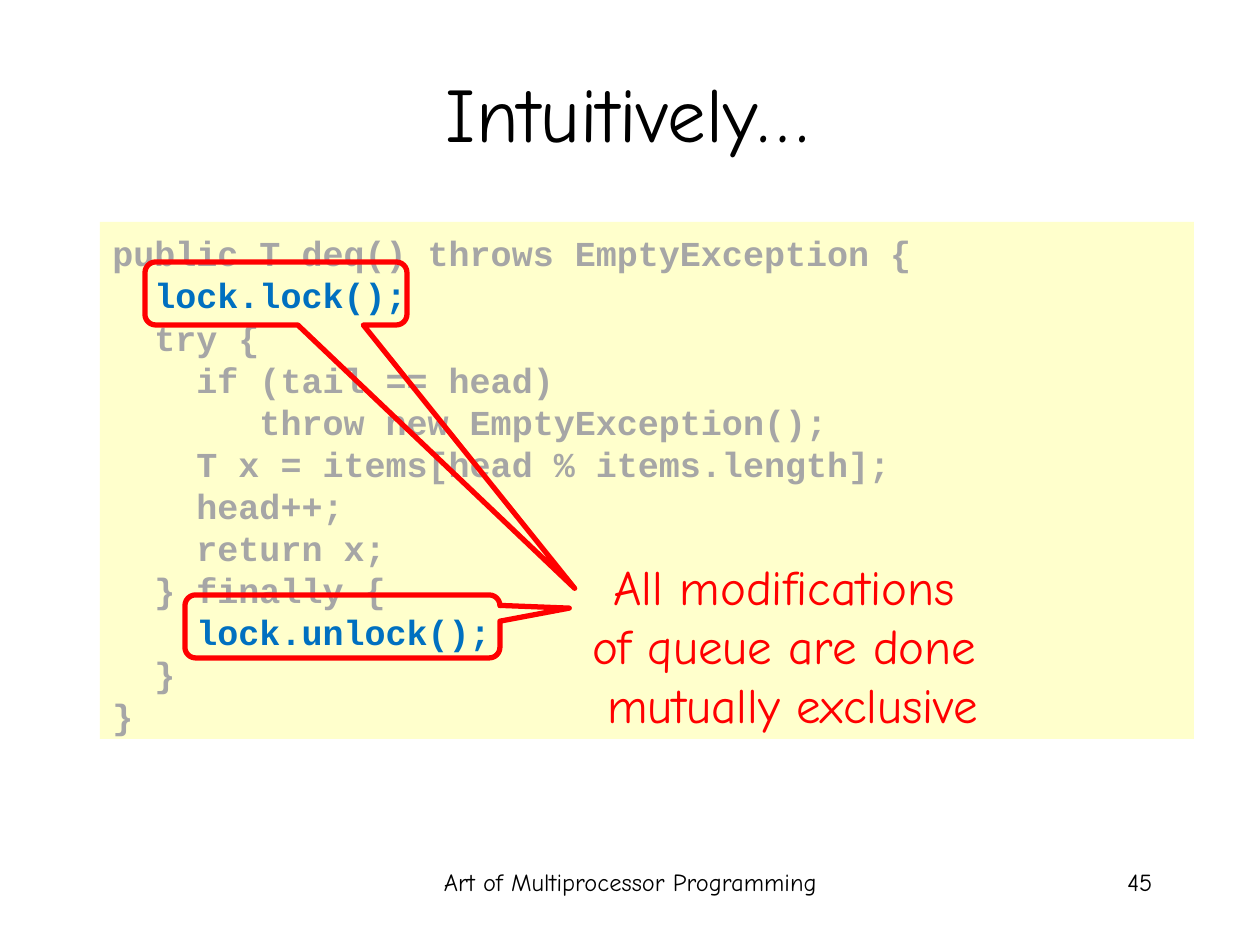
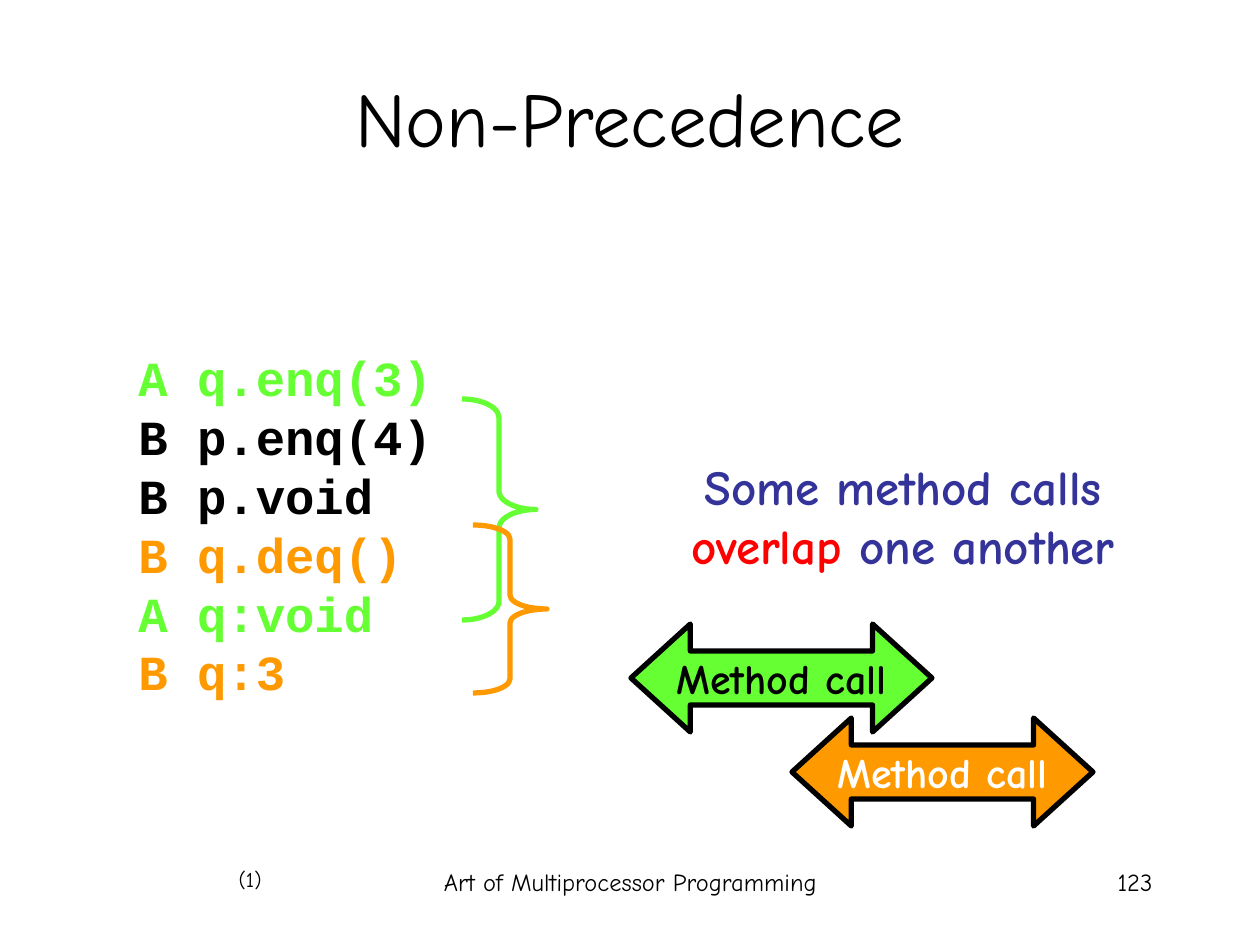
import pptx
import pptx.dml.color
import pptx.enum.shapes
import pptx.enum.text
import pptx.util

RGB = pptx.dml.color.RGBColor
SHAPE = pptx.enum.shapes.MSO_SHAPE
ALIGN = pptx.enum.text.PP_ALIGN
ANCHOR = pptx.enum.text.MSO_ANCHOR

BLACK = RGB(0x00, 0x00, 0x00)
WHITE = RGB(0xFF, 0xFF, 0xFF)
RED = RGB(0xFF, 0x00, 0x00)
GREY = RGB(0xA6, 0xA6, 0xA6)
BLUE = RGB(0x00, 0x70, 0xC0)
NAVY = RGB(0x33, 0x33, 0x99)
GREEN = RGB(0x66, 0xFF, 0x33)
ORANGE = RGB(0xFF, 0x99, 0x00)
CREAM = RGB(0xFF, 0xFF, 0xCC)

PROSE_FONT = "Comic Neue"
CODE_FONT = "Courier New"
PX_PER_INCH = 126
LINE_HEIGHT = 1.2
OUTLINE = pptx.util.Pt(3)
TITLE_ONLY = 5

DEQ_CODE = [
    ("public T deq() throws EmptyException {", GREY),
    ("  lock.lock();", BLUE),
    ("  try {", GREY),
    ("    if (tail == head)", GREY),
    ("       throw new EmptyException();", GREY),
    ("    T x = items[head % items.length];", GREY),
    ("    head++;", GREY),
    ("    return x;", GREY),
    ("  } finally {", GREY),
    ("    lock.unlock();", BLUE),
    ("  }", GREY),
    ("}", GREY),
]
HISTORY = [
    ("A q.enq(3)", GREEN),
    ("B p.enq(4)", BLACK),
    ("B p.void", BLACK),
    ("B q.deq()", ORANGE),
    ("A q:void", GREEN),
    ("B q:3", ORANGE),
]


def px(length):
    return pptx.util.Emu(round(length * 914400 / PX_PER_INCH))


def box(*lengths):
    """Turn left, top, width and height in px into EMU."""
    return [px(length) for length in lengths]


def write(frame, lines, size, font=PROSE_FONT, bold=False, align=ALIGN.CENTER,
          anchor=ANCHOR.TOP, wrap=True, top_inset=6):
    """Fill a frame with lines, each a list of (text, colour) runs."""
    frame.word_wrap = wrap
    frame.auto_size = pptx.enum.text.MSO_AUTO_SIZE.NONE
    frame.vertical_anchor = anchor
    frame.margin_top = px(top_inset)
    for number, runs in enumerate(lines):
        paragraph = frame.add_paragraph() if number else frame.paragraphs[0]
        paragraph.alignment = align
        if len(lines) > 1:
            paragraph.line_spacing = pptx.util.Pt(size * LINE_HEIGHT)
        for text, colour in runs:
            run = paragraph.add_run()
            run.text = text
            run.font.name = font
            run.font.size = pptx.util.Pt(size)
            run.font.bold = bold
            run.font.color.rgb = colour


def add_text(slide, place, lines, size, **text_format):
    label = slide.shapes.add_textbox(*box(*place))
    write(label.text_frame, lines, size, **text_format)


def add_code(frame, code, size, top_inset):
    write(frame, [[line] for line in code], size, font=CODE_FONT, bold=True,
          align=ALIGN.LEFT, top_inset=top_inset)


def add_figure(slide, preset, place, fill=None, line=None, adjustments=()):
    figure = slide.shapes.add_shape(preset, *box(*place))
    figure.shadow.inherit = False
    if fill is None:
        figure.fill.background()
    else:
        figure.fill.solid()
        figure.fill.fore_color.rgb = fill
    if line is None:
        figure.line.fill.background()
    else:
        figure.line.color.rgb = line
        figure.line.width = OUTLINE
    for index, value in enumerate(adjustments):
        figure.adjustments[index] = value
    return figure


def add_callout(slide, place, tip_x, tip_y):
    add_figure(slide, SHAPE.ROUNDED_RECTANGULAR_CALLOUT, place, line=RED,
               adjustments=(tip_x, tip_y, 0.17))


def add_brace(slide, place, colour, curl):
    add_figure(slide, SHAPE.RIGHT_BRACE, place, line=colour,
               adjustments=(curl, 0.5))


def add_method_call(slide, left, top, fill, text_colour):
    arrow = add_figure(slide, SHAPE.LEFT_RIGHT_ARROW, (left, top, 301, 108),
                       fill=fill, line=BLACK, adjustments=(0.5, 0.55))
    write(arrow.text_frame, [[("Method call", text_colour)]], 24, bold=True,
          anchor=ANCHOR.MIDDLE, wrap=False)


def add_page(deck, title, title_place, number):
    """Add a slide with its title, footer and page number."""
    slide = deck.slides.add_slide(deck.slide_layouts[TITLE_ONLY])
    heading = slide.shapes.title
    heading.left, heading.top, heading.width, heading.height = box(*title_place)
    write(heading.text_frame, [[(title, BLACK)]], 44, anchor=ANCHOR.MIDDLE)
    add_text(slide, (431, 861, 399, 63),
             [[("Art of Multiprocessor Programming", BLACK)]], 14)
    add_text(slide, (903, 861, 262, 63), [[(number, BLACK)]], 14,
             align=ALIGN.RIGHT)
    return slide


def build_intuition(deck):
    slide = add_page(deck, "Intuitively…", (92, 33, 1071, 158), "45")
    listing = add_figure(slide, SHAPE.RECTANGLE, (100, 222, 1094, 517), CREAM)
    add_code(listing.text_frame, DEQ_CODE, 20, top_inset=10)
    add_callout(slide, (145, 262, 262, 63), 1.14, 4.68)
    remark = ["All modifications ", "of queue are done ", "mutually exclusive"]
    add_text(slide, (530, 551, 525, 189), [[(line, RED)] for line in remark], 28)
    add_callout(slide, (185, 595, 315, 63), 0.72, -0.29)


def build_non_precedence(deck):
    slide = add_page(deck, "Non-Precedence", (63, 38, 1134, 158), "123")
    history = slide.shapes.add_textbox(*box(126, 336, 384, 365))
    add_code(history.text_frame, HISTORY, 28, top_inset=12)
    add_brace(slide, (462, 399, 74, 221), GREEN, 0.25)
    add_text(slide, (651, 451, 504, 130),
             [[("Some method calls", NAVY)],
              [("overlap", RED), (" one another", NAVY)]], 28, bold=True)
    add_brace(slide, (473, 525, 74, 168), ORANGE, 0.19)
    add_method_call(slide, 631, 624, GREEN, BLACK)
    add_method_call(slide, 792, 718, ORANGE, WHITE)
    add_text(slide, (224, 861, 50, 38), [[("(1)", BLACK)]], 12,
             align=ALIGN.RIGHT, wrap=False)


def main():
    deck = pptx.Presentation()
    deck.slide_width, deck.slide_height = px(1260), px(945)
    build_intuition(deck)
    build_non_precedence(deck)
    deck.save("out.pptx")


if __name__ == "__main__":
    main()
